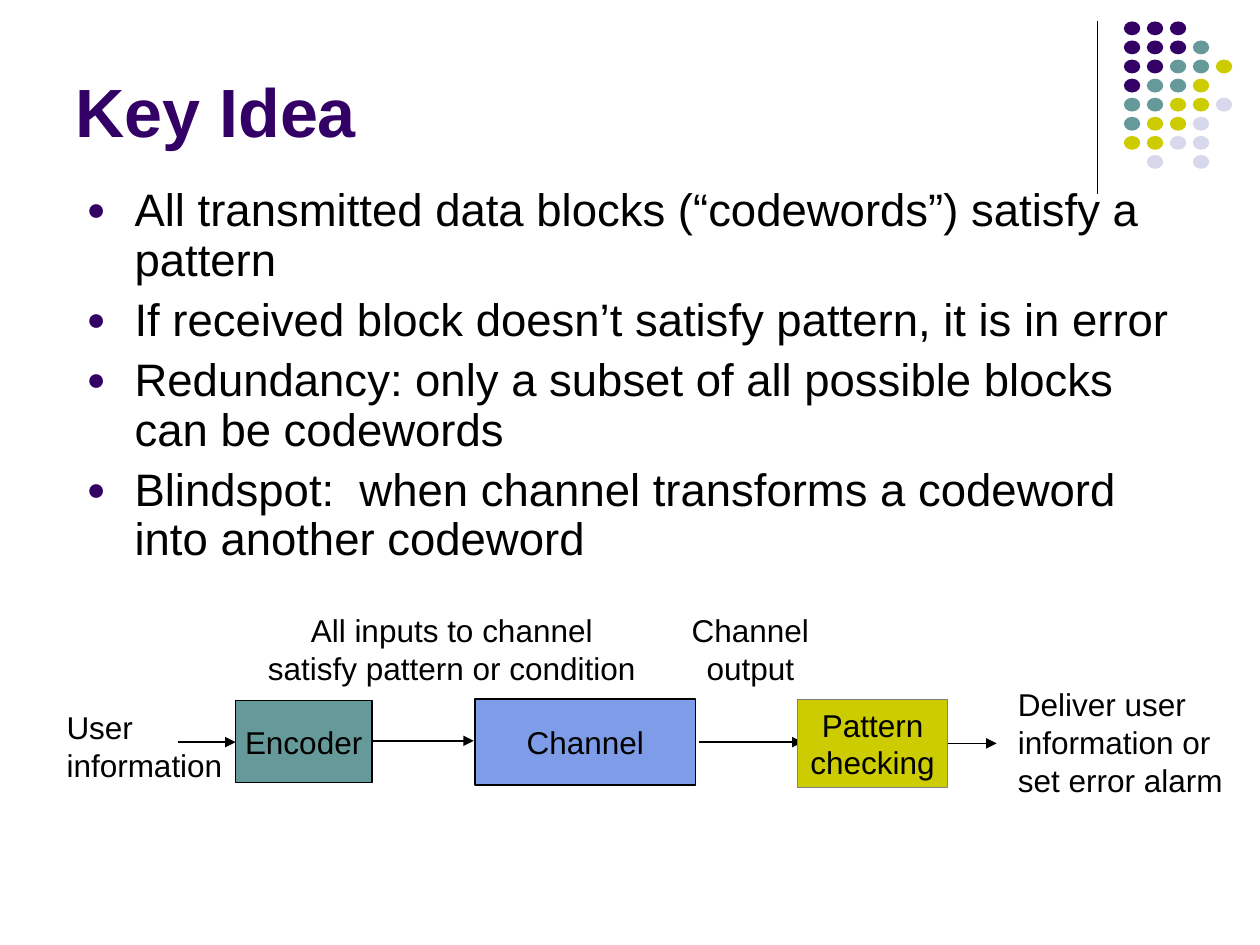
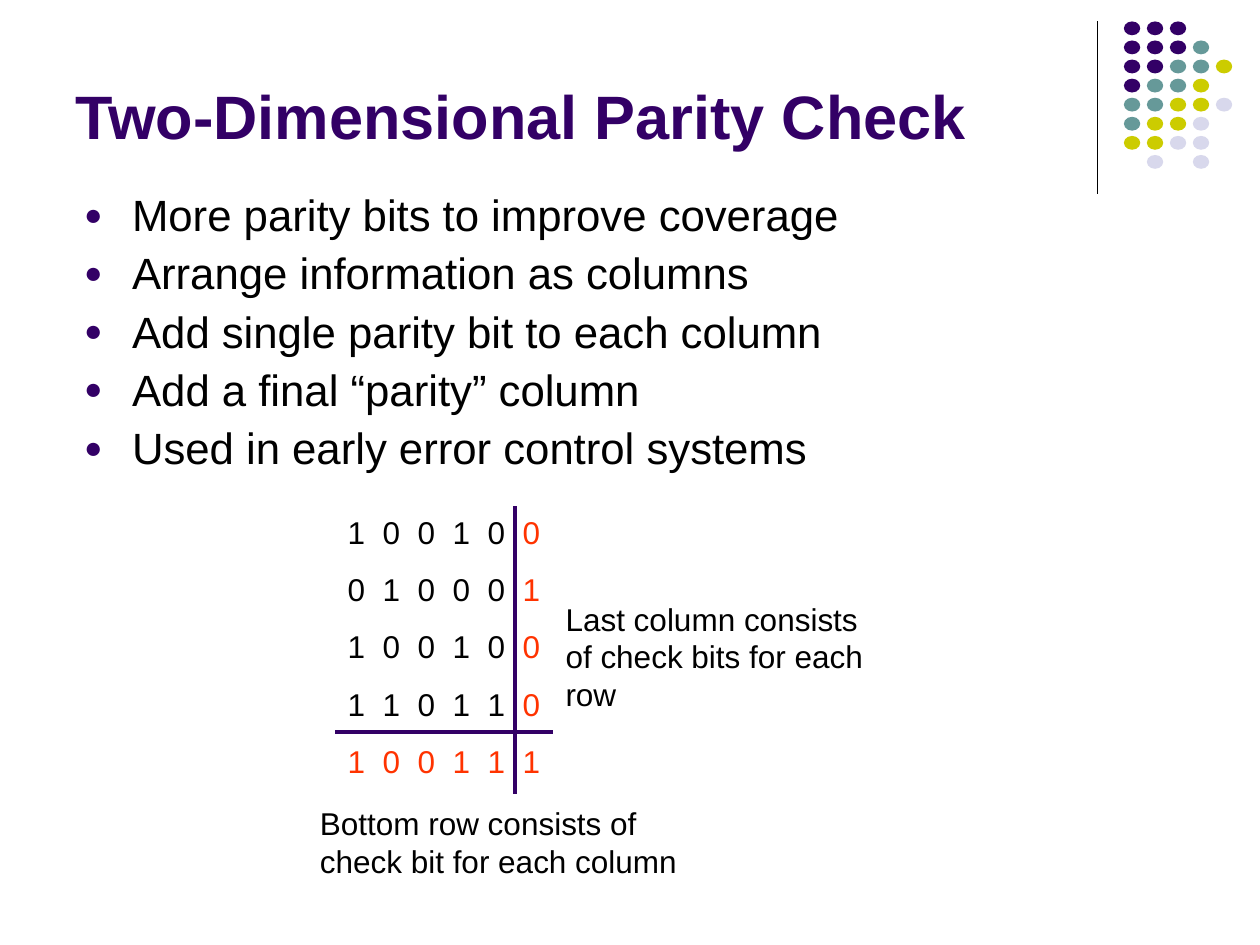
from lxml.etree import SubElement
from pptx import Presentation
from pptx.dml.color import RGBColor
from pptx.enum.shapes import MSO_CONNECTOR, MSO_SHAPE
from pptx.enum.text import MSO_ANCHOR, PP_ALIGN
from pptx.oxml.ns import qn
from pptx.util import Inches, Pt

SLIDE_WIDTH, SLIDE_HEIGHT = Inches(10), Inches(7.5)
CELL = SLIDE_WIDTH // 100  # the grid has 100 columns and 75 rows

FONT = "Arial"
LABEL_SIZE = 18
BLACK, GREY, ORANGE = "000000", "808080", "FF3300"
PURPLE, TEAL, OLIVE, LAVENDER, BLUE = "330066", "669999", "CCCC00", "D8D8EC", "7E9CE8"

DOT_COLOURS = {"P": PURPLE, "T": TEAL, "O": OLIVE, "L": LAVENDER}
DOT_ROWS = ["PPP", "PPPT", "PPTTO", "PTTO", "TTOOL", "TOOL", "OOLL", ".L.L"]
DOT_COLUMN_STEP, DOT_ROW_STEP = 7.3 / 4, 10.6 / 7

CODEWORD_POINTS = [
    "All transmitted data blocks (“codewords”) satisfy a pattern",
    "If received block doesn’t satisfy pattern, it is in error",
    "Redundancy: only a subset of all possible blocks can be codewords",
    "Blindspot:  when channel transforms a codeword into another codeword",
]
PARITY_POINTS = [
    "More parity bits to improve coverage",
    "Arrange information as columns",
    "Add single parity bit to each column",
    "Add a final “parity” column",
    "Used in early error control systems",
]
PARITY_ROWS = ["100100", "010001", "100100", "110110", "100111"]
BIT_STEP = 2.78


def cells(*counts):
    return [round(count * CELL) for count in counts]


def colour(hex_string):
    return RGBColor.from_string(hex_string)


def style_run(run, size, hex_string=BLACK, bold=False):
    run.font.name = FONT
    run.font.size = Pt(size)
    run.font.bold = bold
    run.font.color.rgb = colour(hex_string)


def fill_text(frame, text, size, hex_string=BLACK, bold=False, align=PP_ALIGN.LEFT):
    frame.text = text
    for paragraph in frame.paragraphs:
        paragraph.alignment = align
        for run in paragraph.runs:
            style_run(run, size, hex_string, bold)


def add_frame(slide, area, wrap=True):
    frame = slide.shapes.add_textbox(*cells(*area)).text_frame
    frame.word_wrap = wrap
    return frame


def add_label(slide, area, text, align=PP_ALIGN.LEFT, wrap=False):
    fill_text(add_frame(slide, area, wrap), text, LABEL_SIZE, align=align)


def add_solid(slide, kind, area, fill):
    solid = slide.shapes.add_shape(kind, *cells(*area))
    solid.shadow.inherit = False
    solid.fill.solid()
    solid.fill.fore_color.rgb = colour(fill)
    solid.line.fill.background()
    return solid


def add_stage(slide, area, text, fill, outline=BLACK, width=1):
    stage = add_solid(slide, MSO_SHAPE.RECTANGLE, area, fill)
    stage.line.color.rgb = colour(outline)
    stage.line.width = Pt(width)
    stage.text_frame.word_wrap = False
    stage.text_frame.vertical_anchor = MSO_ANCHOR.MIDDLE
    fill_text(stage.text_frame, text, LABEL_SIZE, align=PP_ALIGN.CENTER)


def add_line(slide, ends, hex_string=BLACK, width=1.0, arrow=False):
    line = slide.shapes.add_connector(MSO_CONNECTOR.STRAIGHT, *cells(*ends))
    line.line.color.rgb = colour(hex_string)
    line.line.width = Pt(width)
    properties = line._element.spPr
    if arrow:
        SubElement(properties.find(qn("a:ln")), qn("a:tailEnd"), type="triangle")
    SubElement(properties, qn("a:effectLst"))


def add_corner_dots(slide):
    add_line(slide, (87.1, 1.7, 87.1, 15.4), width=0.75)
    for row, pattern in enumerate(DOT_ROWS):
        for column, key in enumerate(pattern):
            if key in DOT_COLOURS:
                left = 89.2 + column * DOT_COLUMN_STEP
                top = 1.7 + row * DOT_ROW_STEP
                add_solid(slide, MSO_SHAPE.OVAL, (left, top, 1.3, 1.1), DOT_COLOURS[key])


def add_title(slide, text, size):
    frame = add_frame(slide, (5, 1.3, 82.5, 11.2))
    frame.vertical_anchor = MSO_ANCHOR.BOTTOM
    fill_text(frame, text, size, PURPLE, bold=True)


def add_bullet(paragraph):
    properties = paragraph._p.get_or_add_pPr()
    indent = Inches(0.38)
    properties.set("marL", str(indent))
    properties.set("indent", str(-indent))
    SubElement(SubElement(properties, qn("a:buClr")), qn("a:srgbClr"), val=PURPLE)
    SubElement(properties, qn("a:buSzPct"), val="70000")
    SubElement(properties, qn("a:buFont"), typeface=FONT)
    SubElement(properties, qn("a:buChar"), char="●")


def add_points(slide, area, points, size):
    frame = add_frame(slide, area)
    fill_text(frame, "\n".join(points), size)
    for index, paragraph in enumerate(frame.paragraphs):
        add_bullet(paragraph)
        paragraph.line_spacing = 0.9
        if index:
            paragraph.space_before = Pt(size / 4)


def add_bit_tabs(paragraph, count):
    tabs = SubElement(paragraph._p.get_or_add_pPr(), qn("a:tabLst"))
    for column in range(1, count):
        position, = cells(column * BIT_STEP)
        SubElement(tabs, qn("a:tab"), pos=str(position), algn="l")


def add_parity_grid(slide):
    """Bits in tabbed columns; the last column and last row hold check bits."""
    frame = add_frame(slide, (26.6, 40.2, 20.8, 22.3))
    for index, bits in enumerate(PARITY_ROWS):
        paragraph = frame.add_paragraph() if index else frame.paragraphs[0]
        add_bit_tabs(paragraph, len(bits))
        if index:
            paragraph.space_before = Pt(11.2)
        data_colour = ORANGE if index == len(PARITY_ROWS) - 1 else BLACK
        parts = [("\t".join(bits[:-1]) + "\t", data_colour), (bits[-1], ORANGE)]
        for text, hex_string in parts:
            run = paragraph.add_run()
            run.text = text
            style_run(run, LABEL_SIZE, hex_string)
    add_line(slide, (40.9, 40.2, 40.9, 63), PURPLE, 2.25)
    add_line(slide, (26.6, 58.1, 43.9, 58.1), PURPLE, 2.25)


def add_channel_diagram(slide):
    for start, end, row in [(14.1, 18.7, 58.9), (29.4, 37.6, 58.8),
                            (55.5, 63.7, 58.9), (74.5, 79.1, 59)]:
        add_line(slide, (start, row, end, row), arrow=True)
    add_stage(slide, (18.7, 55.6, 10.8, 6.5), "Encoder", TEAL)
    add_stage(slide, (37.7, 55.5, 17.5, 6.8), "Channel", BLUE)
    add_stage(slide, (63.3, 55.5, 11.9, 7), "Pattern\nchecking", OLIVE, GREY, 0.75)
    add_label(slide, (4.3, 55.7, 14.4, 7), "User\ninformation")
    add_label(slide, (19.9, 48, 31.9, 7),
              "All inputs to channel\nsatisfy pattern or condition", PP_ALIGN.CENTER)
    add_label(slide, (53.9, 48, 11.3, 7), "Channel\noutput", PP_ALIGN.CENTER)
    add_label(slide, (79.8, 53.9, 18.8, 10),
              "Deliver user\ninformation or\nset error alarm", wrap=True)


def add_slide(deck, title, title_size):
    slide = deck.slides.add_slide(deck.slide_layouts[6])
    add_corner_dots(slide)
    add_title(slide, title, title_size)
    return slide


def main():
    deck = Presentation()
    deck.slide_width, deck.slide_height = SLIDE_WIDTH, SLIDE_HEIGHT

    key_idea = add_slide(deck, "Key Idea", 39)
    add_points(key_idea, (5.9, 14.4, 90, 31.6), CODEWORD_POINTS, 26)
    add_channel_diagram(key_idea)

    parity_check = add_slide(deck, "Two-Dimensional Parity Check", 35)
    add_parity_grid(parity_check)
    add_label(parity_check, (24.4, 63.3, 31.7, 7),
              "Bottom row consists of check bit for each column", wrap=True)
    add_label(parity_check, (43.9, 47.1, 26.4, 10),
              "Last column consists of check bits for each row", wrap=True)
    add_points(parity_check, (5.7, 14.9, 90, 24.1), PARITY_POINTS, 25)

    deck.save("out.pptx")


if __name__ == "__main__":
    main()
